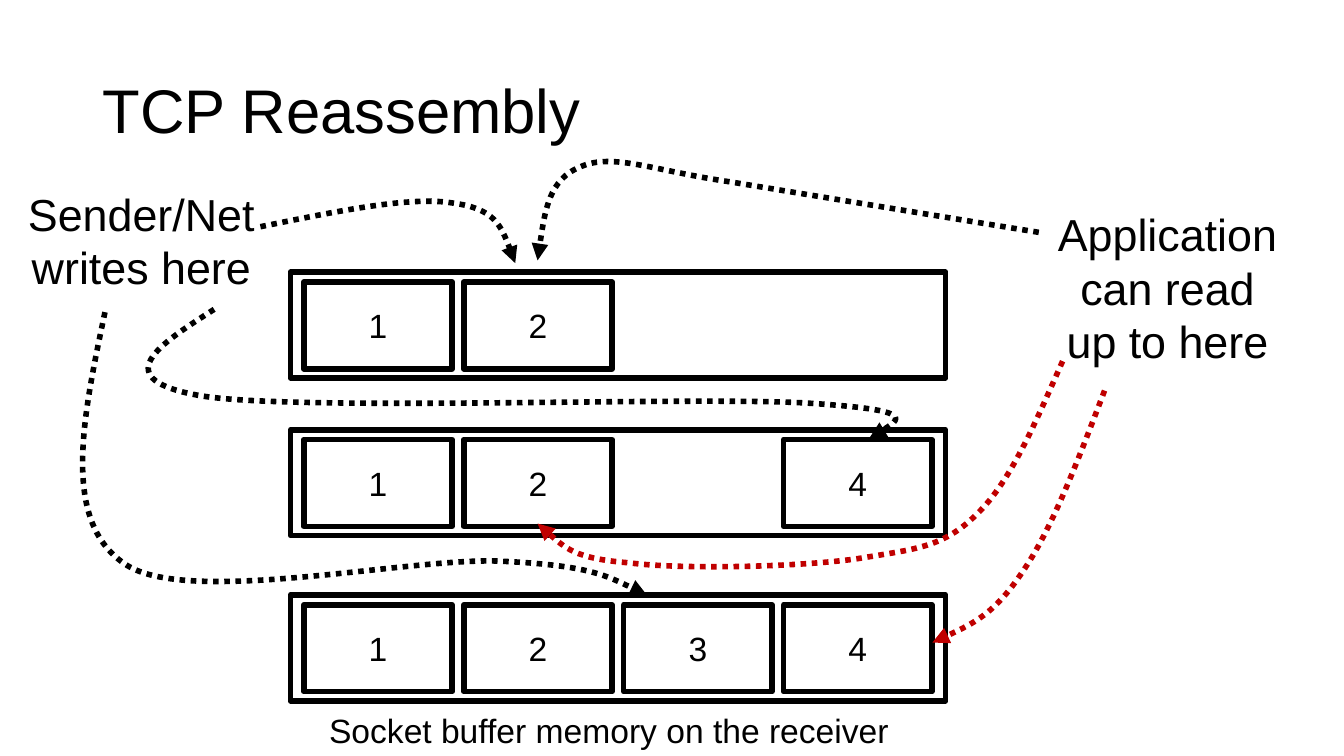
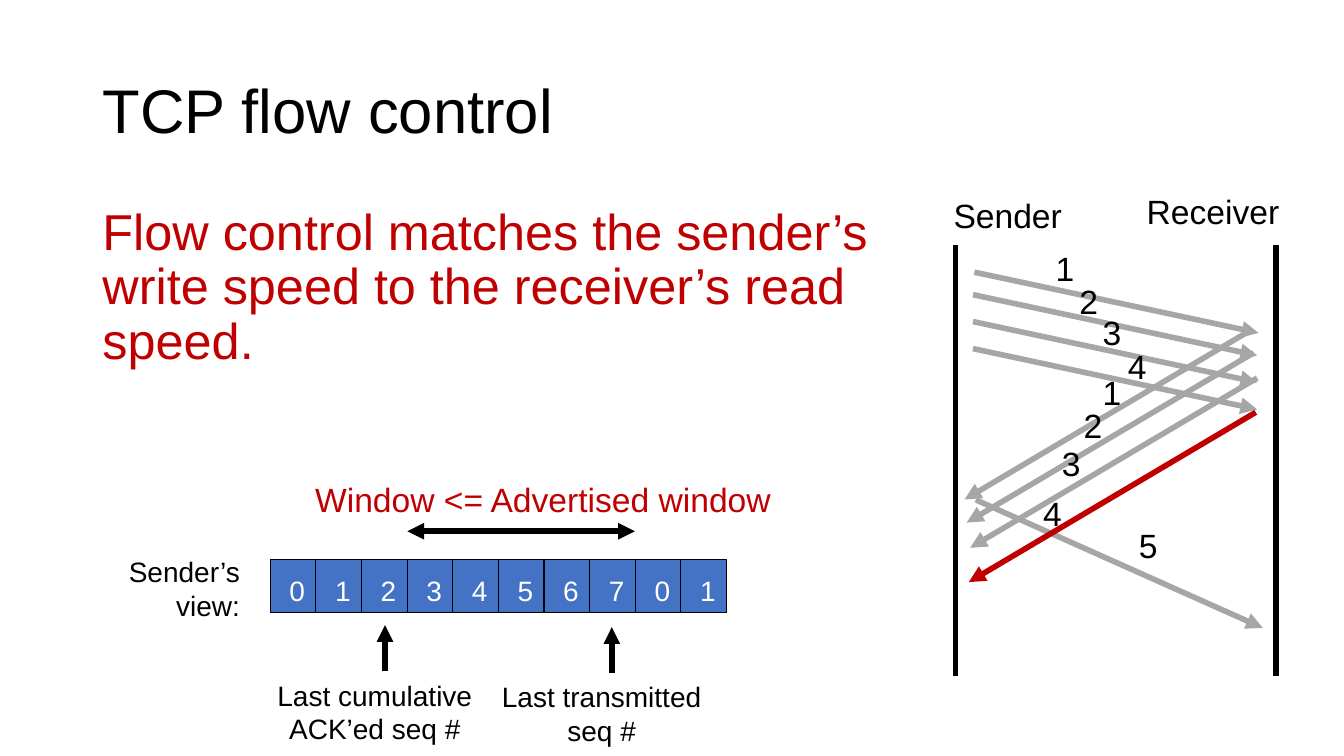
from lxml import etree
from pptx import Presentation
from pptx.dml.color import RGBColor
from pptx.enum.dml import MSO_LINE
from pptx.enum.shapes import MSO_CONNECTOR, MSO_SHAPE
from pptx.enum.text import MSO_ANCHOR, MSO_AUTO_SIZE, PP_ALIGN
from pptx.oxml.ns import qn
from pptx.util import Pt

# Shared look
BLACK = RGBColor(0x00, 0x00, 0x00)
WHITE = RGBColor(0xFF, 0xFF, 0xFF)
RED = RGBColor(0xC0, 0x00, 0x00)
GRAY = RGBColor(0xA6, 0xA6, 0xA6)
BLUE = RGBColor(0x44, 0x72, 0xC4)
FONT = "Arial"
HEAVY = Pt(4)
RECTANGLE = MSO_SHAPE.RECTANGLE
STRAIGHT = MSO_CONNECTOR.STRAIGHT
DOTTED = MSO_LINE.ROUND_DOT
MIDDLE = MSO_ANCHOR.MIDDLE
GROW = MSO_AUTO_SIZE.SHAPE_TO_FIT_TEXT
LEFT, CENTER, RIGHT = PP_ALIGN.LEFT, PP_ALIGN.CENTER, PP_ALIGN.RIGHT


def add_label(shapes, text, left, top, width, height, size=24, color=BLACK, align=LEFT):
    frame = shapes.add_textbox(Pt(left), Pt(top), Pt(width), Pt(height)).text_frame
    frame.word_wrap = True
    frame.auto_size = GROW
    frame.text = text
    for paragraph in frame.paragraphs:
        paragraph.alignment = align
        paragraph.font.name = FONT
        paragraph.font.size = Pt(size)
        paragraph.font.color.rgb = color


def style_stroke(stroke, color, arrowheads=("tailEnd",)):
    stroke.line.color.rgb = color
    stroke.line.width = HEAVY
    properties = stroke._element.spPr
    outline = properties.find(qn("a:ln"))
    for end in arrowheads:
        etree.SubElement(outline, qn("a:" + end), type="triangle")
    etree.SubElement(properties, qn("a:effectLst"))


prs = Presentation()
prs.slide_width, prs.slide_height = Pt(960), Pt(540)

# Both slides and their titles
reassembly = prs.slides.add_slide(prs.slide_layouts[5])
flow_control = prs.slides.add_slide(prs.slide_layouts[1])
for slide, heading in ((reassembly, "TCP Reassembly"), (flow_control, "TCP flow control")):
    title = slide.shapes.title
    title.left, title.top, title.width, title.height = Pt(66), Pt(28.75), Pt(828), Pt(104.4)
    title.text_frame.text = heading
    title.text_frame.vertical_anchor = MIDDLE
    paragraph = title.text_frame.paragraphs[0]
    paragraph.alignment = LEFT
    paragraph.line_spacing = 0.9
    paragraph.font.name = FONT
    paragraph.font.size = Pt(44)
    paragraph.font.color.rgb = BLACK

# Slide 1: socket buffer at three moments, with the segments received
SLOT_LEFT, SLOT_PITCH = 217, 114.25
for buffer_top, segments in ((194.4, (1, 2)), (307, (1, 2, 4)), (425, (1, 2, 3, 4))):
    boxes = [("", 207.5, buffer_top, 468, 75.6)]
    for segment in segments:
        slot_left = SLOT_LEFT + (segment - 1) * SLOT_PITCH
        boxes.append((str(segment), slot_left, buffer_top + 7, 106, 62))
    for text, *box in boxes:
        slot = reassembly.shapes.add_shape(RECTANGLE, *map(Pt, box))
        slot.shadow.inherit = False
        slot.fill.background()
        slot.line.color.rgb = BLACK
        slot.line.width = HEAVY
        if text:
            slot.text_frame.text = text
            digit = slot.text_frame.paragraphs[0]
            digit.alignment = CENTER
            digit.font.name = FONT
            digit.font.size = Pt(24)
            digit.font.color.rgb = BLACK

add_label(reassembly.shapes, "Application can read up to here", 743, 144, 182, 124, 32, align=CENTER)
add_label(reassembly.shapes, "Sender/Net writes here", 10, 129.6, 182, 85, 32, align=CENTER)
add_label(reassembly.shapes, "Socket buffer memory on the receiver", 228, 503.3, 560, 36)

# Dotted pointers: a start point, then two control points and an end per curve
pointers = [
    (BLACK, [(186, 162), (240, 151), (293, 140), (323, 145),
             (354, 149), (361, 168), (368, 188)]),
    (BLACK, [(742, 166), (668, 154), (595, 142), (522, 130), (467, 122),
             (438, 109), (415, 119), (392, 128), (388, 157), (384, 186)]),
    (BLACK, [(153, 221), (114, 246), (74, 271), (145, 283), (216, 294),
             (498, 283), (577, 288), (657, 293), (639, 303), (621, 313)]),
    (RED, [(759, 258), (740, 301), (722, 344), (698, 367), (674, 391),
           (655, 392), (613, 399), (572, 405), (487, 407), (449, 402),
           (410, 399), (397, 386), (384, 374)]),
    (BLACK, [(75, 223), (59, 299), (43, 374), (91, 404), (138, 433),
             (298, 397), (360, 401), (422, 404), (441, 415), (462, 425)]),
    (RED, [(789, 279), (770, 329), (751, 379), (730, 409),
           (710, 439), (688, 449), (666, 459)]),
]
STEPS = 16
for color, points in pointers:
    # Sampled points give the curve its exact bounds
    samples = []
    for first in range(0, len(points) - 1, 3):
        for step in range(1, STEPS + 1):
            t = step / STEPS
            weights = ((1 - t) ** 3, 3 * t * (1 - t) ** 2, 3 * t ** 2 * (1 - t), t ** 3)
            curve = points[first:first + 4]
            samples.append([Pt(sum(w * p[axis] for w, p in zip(weights, curve))) for axis in (0, 1)])
    builder = reassembly.shapes.build_freeform(Pt(points[0][0]), Pt(points[0][1]), scale=1.0)
    builder.add_line_segments(samples, close=False)
    pointer = builder.convert_to_shape()
    # Replace the samples with true Bézier curves
    route = pointer._element.find(".//" + qn("a:path"))
    for segment in route.findall(qn("a:lnTo")):
        route.remove(segment)
    for first in range(1, len(points), 3):
        bezier = etree.SubElement(route, qn("a:cubicBezTo"))
        for x, y in points[first:first + 3]:
            etree.SubElement(bezier, qn("a:pt"), x=str(Pt(x) - pointer.left), y=str(Pt(y) - pointer.top))
    pointer.fill.background()
    pointer.line.dash_style = DOTTED
    style_stroke(pointer, color)

# Slide 2: statement
statement = flow_control.placeholders[1]
statement.left, statement.top, statement.width, statement.height = Pt(66), Pt(144), Pt(597.6), Pt(342.7)
statement.text_frame.text = "Flow control matches the sender’s write speed to the receiver’s read speed."
paragraph = statement.text_frame.paragraphs[0]
paragraph.line_spacing = 0.9
paragraph.space_before = Pt(10)
paragraph.font.name = FONT
paragraph.font.size = Pt(36)
paragraph.font.color.rgb = RED
bullet = paragraph._p.get_or_add_pPr()
bullet.set("marL", "0")
bullet.set("indent", "0")
etree.SubElement(bullet, qn("a:buNone"))
# The bullet setting precedes the default run properties in schema order
for defaults in bullet.findall(qn("a:defRPr")):
    bullet.append(defaults)

# Sequence diagram: lifelines, segments sent, acknowledgements
SEND_RUN, SEND_DROP = 203, 43.4
ACK_RUN, ACK_DROP = -205, 121.3
strokes = [((x, 175), (x, 483), BLACK, ()) for x in (682.5, 911.5)]
for x, y in ((696, 194.4), (695, 210.5), (695, 229.7), (695, 249)):
    strokes.append(((x, y), (x + SEND_RUN, y + SEND_DROP), GRAY, ("tailEnd",)))
strokes.append(((697, 357), (902, 448.5), GRAY, ("tailEnd",)))
for x, y, color in ((894, 235.5, GRAY), (895.5, 252, GRAY), (898, 270, GRAY), (897, 294.5, RED)):
    strokes.append(((x, y), (x + ACK_RUN, y + ACK_DROP), color, ("tailEnd",)))
# Extent of the window
strokes.append(((291, 379.5), (453.5, 379.5), BLACK, ("headEnd", "tailEnd")))
for start, end, color, arrowheads in strokes:
    stroke = flow_control.shapes.add_connector(STRAIGHT, *map(Pt, start + end))
    style_stroke(stroke, color, arrowheads)

add_label(flow_control.shapes, "Sender", 674, 136, 109, 36)
add_label(flow_control.shapes, "Receiver", 812, 133, 121, 36)
for number, left, top in (
    ("1", 747, 173.5), ("2", 764, 197), ("3", 780.5, 219.5), ("4", 798.5, 243.5),
    ("1", 780.5, 262), ("2", 767, 286), ("3", 751.5, 312.5), ("4", 738, 348.5),
    ("5", 806.5, 371.5),
):
    add_label(flow_control.shapes, number, left, top, 53, 36)

# Sender's view: strip of sequence numbers
strip = flow_control.shapes.add_group_shape().shapes
CELL_PITCH = 32.6
for index, number in enumerate("0123456701"):
    cell = strip.add_shape(RECTANGLE, Pt(193 + index * CELL_PITCH), Pt(399.6), Pt(CELL_PITCH), Pt(38))
    cell.shadow.inherit = False
    cell.fill.solid()
    cell.fill.fore_color.rgb = BLUE
    cell.line.color.rgb = BLACK
    cell.line.width = Pt(0.75)
    frame = cell.text_frame
    frame.margin_left, frame.margin_right = Pt(6), Pt(0)
    frame.margin_top, frame.margin_bottom = Pt(6), Pt(0)
    frame.text = number
    digit = frame.paragraphs[0]
    digit.alignment = CENTER
    digit.font.name = FONT
    digit.font.size = Pt(20)
    digit.font.color.rgb = WHITE

# Markers below the strip
for caption, left, top, arrow_x, tip in (
    ("Last cumulative\nACK’ed seq #", 178.5, 481, 275, 446.5),
    ("Last transmitted\nseq #", 340.5, 482, 437, 448),
):
    marker = flow_control.shapes.add_group_shape().shapes
    add_label(marker, caption, left, top, 178.5, 56, 20, align=CENTER)
    arrow = marker.add_connector(STRAIGHT, Pt(arrow_x), Pt(tip + 33), Pt(arrow_x), Pt(tip))
    style_stroke(arrow, BLACK)

add_label(flow_control.shapes, "Window <= Advertised window", 218, 338.5, 389, 36, color=RED)
add_label(flow_control.shapes, "Sender’s view:", 35.5, 392.5, 143, 56, 20, align=RIGHT)

prs.save("out.pptx")
